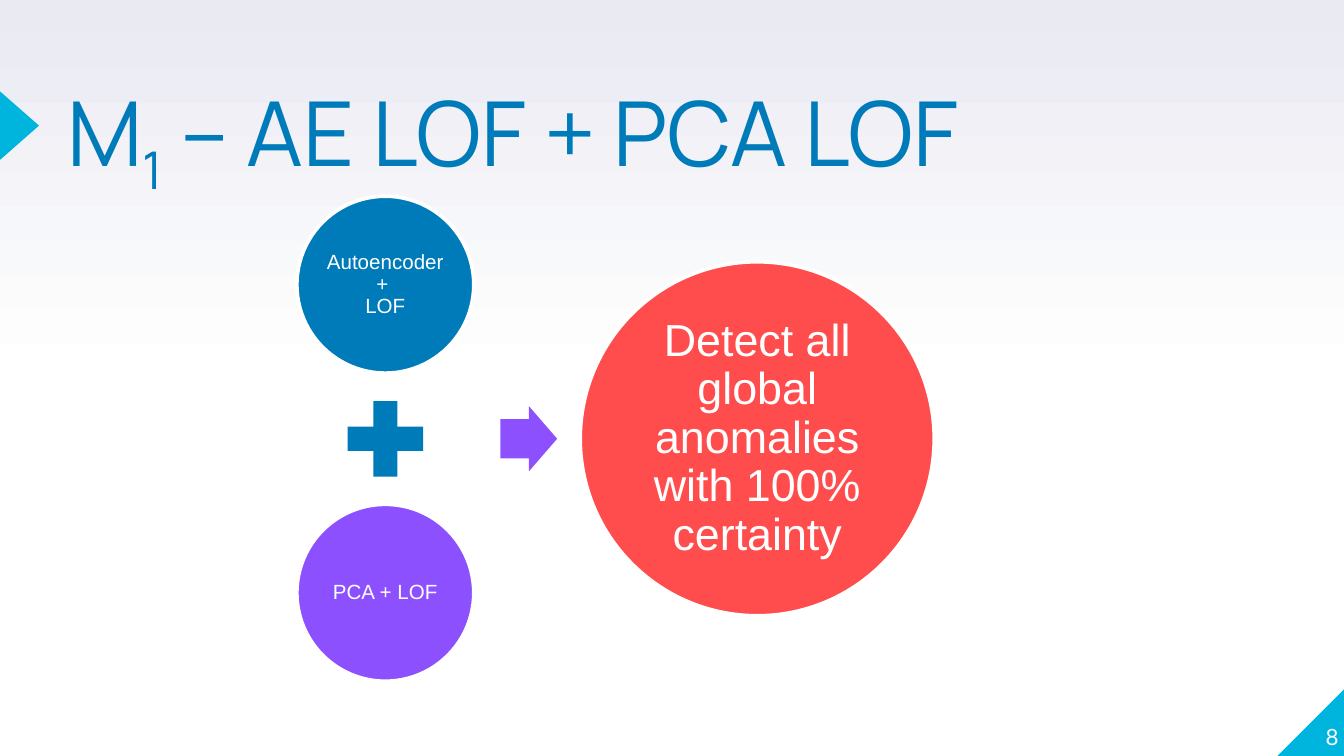
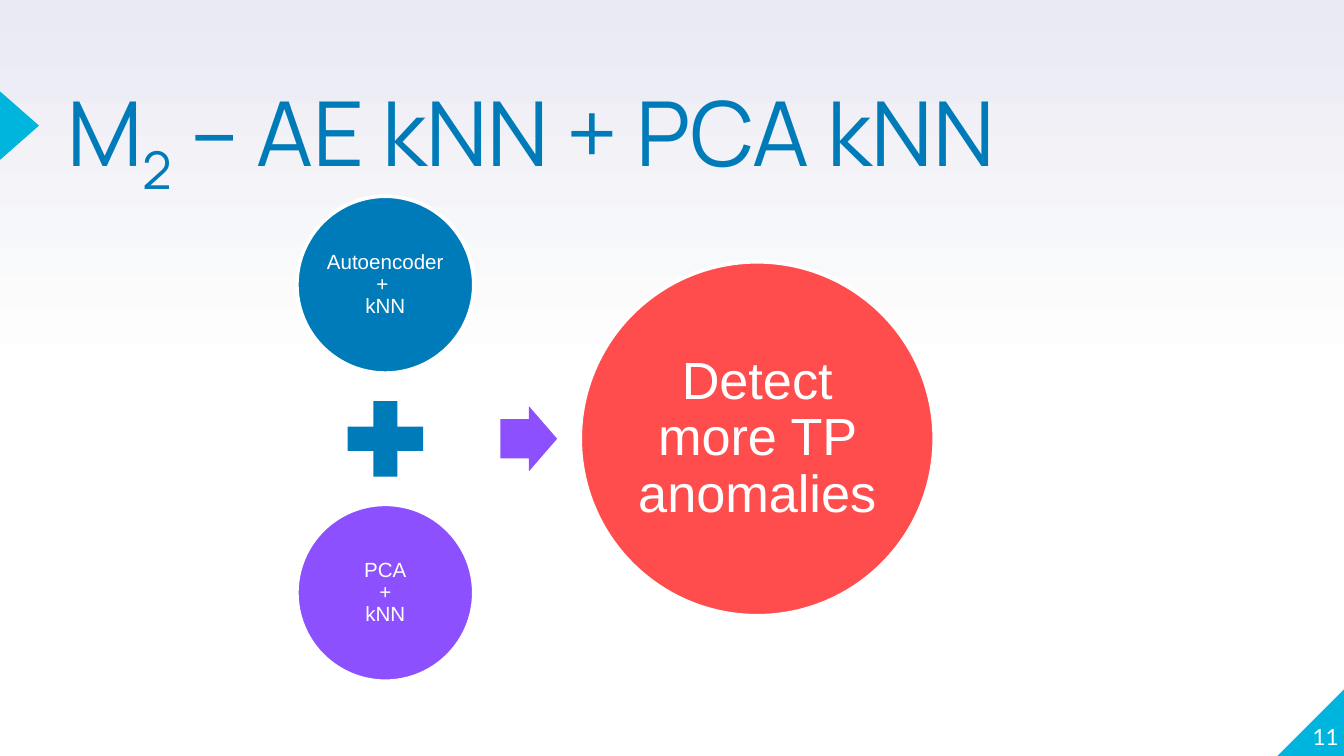
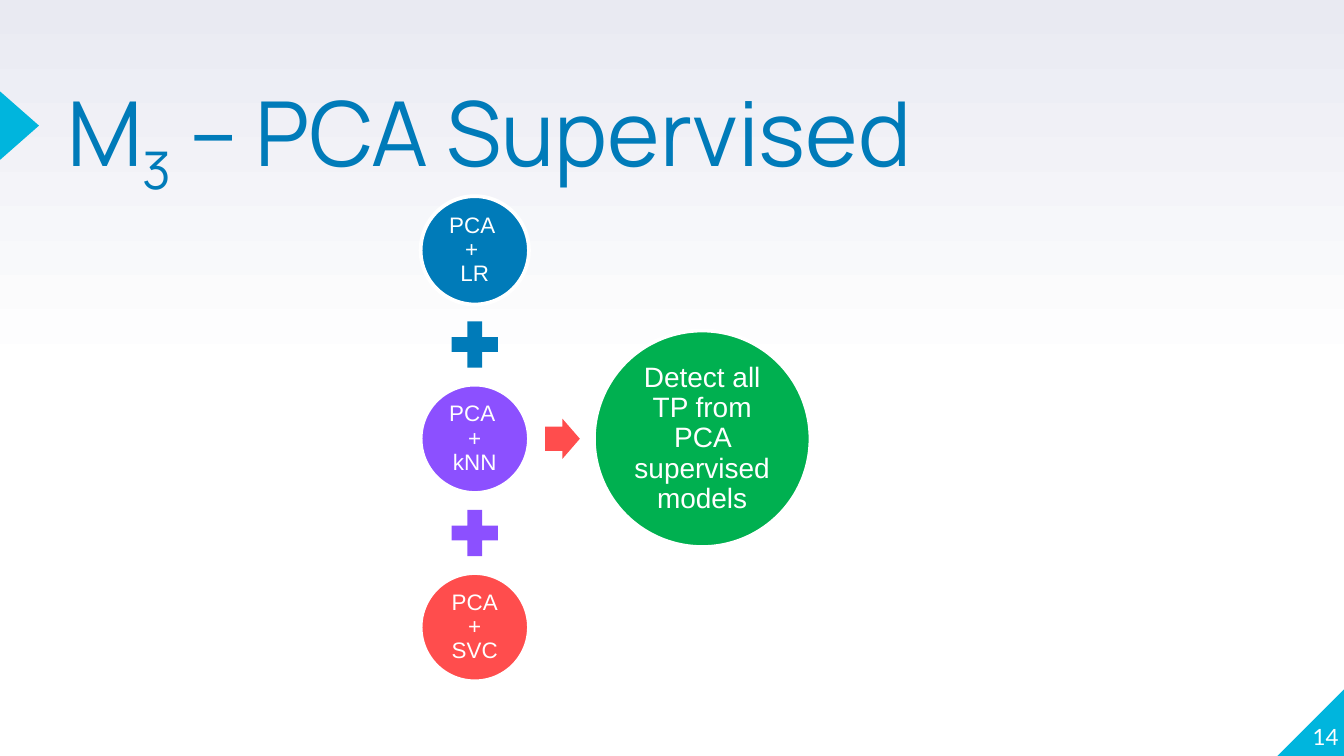
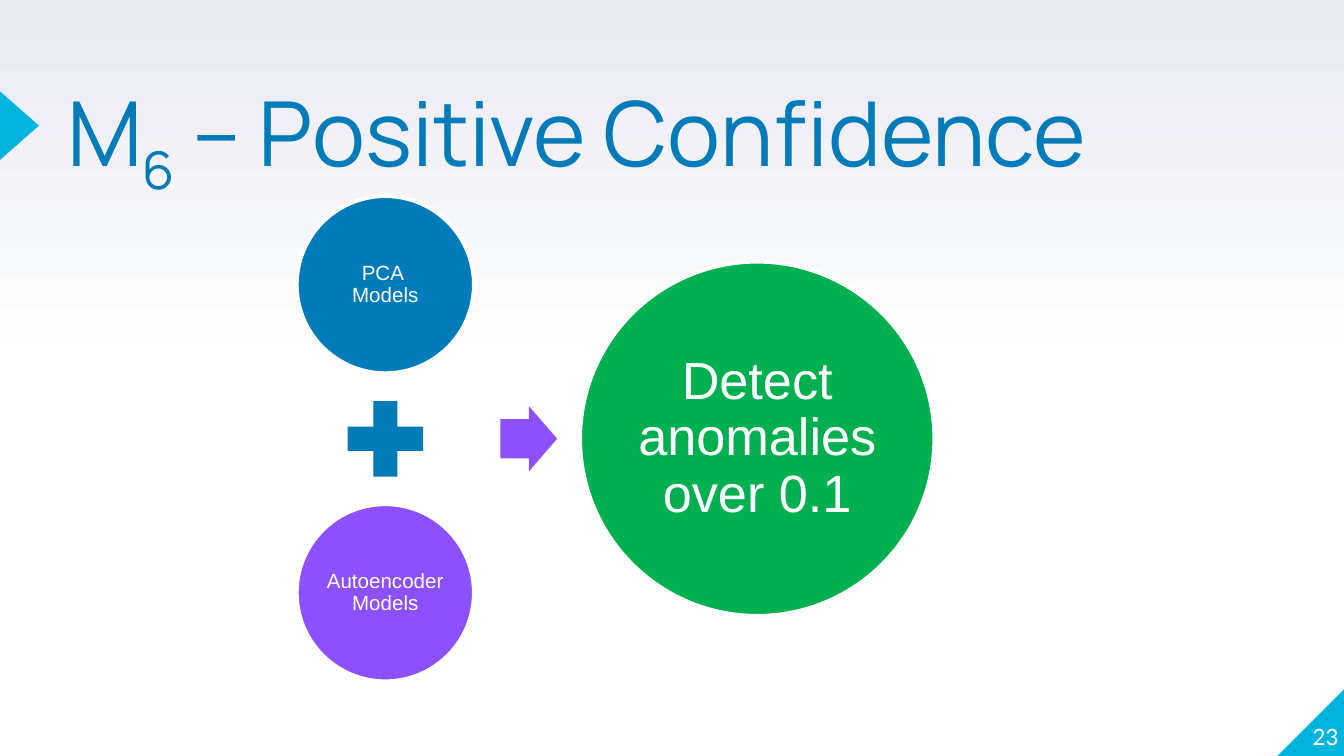
from copy import deepcopy
from dataclasses import dataclass

from pptx import Presentation
from pptx.dml.color import RGBColor
from pptx.enum.shapes import MSO_SHAPE as SHAPE
from pptx.enum.text import MSO_ANCHOR as ANCHOR, PP_ALIGN as ALIGN
from pptx.oxml.ns import qn
from pptx.util import Inches, Pt


@dataclass(frozen=True)
class Theme:
    white: str = "FFFFFF"
    haze: str = "E9EAF2"
    cyan: str = "00B5DD"
    blue: str = "007BB9"
    violet: str = "8C50FF"
    red: str = "FF4D4D"
    green: str = "00B050"
    title_font: str = "Manrope"
    body_font: str = "Arial"
    number_font: str = "Lato"
    title_size: int = 48
    number_size: int = 12


THEME = Theme()
SOURCE_COLORS = [THEME.blue, THEME.violet, THEME.red]

# Equation column: vertical extent, and the middle of the whole diagram
COLUMN_TOP, COLUMN_HEIGHT, DIAGRAM_CENTER = 1.46, 3.61, 4.58

# Diagram proportions, relative to the diameter of a source circle
GAP, PLUS, RESULT = 0.74, 0.58, 2
ARROW_WIDTH, ARROW_HEIGHT = 0.32, 0.37
BEFORE_ARROW, AFTER_ARROW = 0.15, 0.13
DIAGRAM_WIDTH = 1 + BEFORE_ARROW + ARROW_WIDTH + AFTER_ARROW + RESULT

# number, subscript, title, source texts and size, result text, size and colour
SLIDES = [
    (8, "1", " – AE LOF + PCA LOF",
     ["Autoencoder + \nLOF", "PCA + LOF"], 11,
     "Detect all global anomalies with 100% certainty", 24, THEME.red),
    (11, "2", " – AE kNN + PCA kNN",
     ["Autoencoder + \nkNN", "PCA\n+\nkNN"], 11,
     "Detect more TP anomalies", 28, THEME.red),
    (14, "3", " – PCA Supervised",
     ["PCA \n+ \nLR", "PCA \n+\nkNN", "PCA\n+\nSVC"], 12,
     "Detect all TP from PCA supervised models", 15, THEME.green),
    (23, "6", " – Positive Confidence",
     ["PCA \nModels", "Autoencoder\nModels"], 11,
     "Detect anomalies over 0.1", 28, THEME.green),
]


def add_figure(shapes, kind, left, top, width, height, color, outlined=False):
    figure = shapes.add_shape(kind, Inches(left), Inches(top), Inches(width), Inches(height))
    figure.shadow.inherit = False
    figure.fill.solid()
    figure.fill.fore_color.rgb = RGBColor.from_string(color)
    if outlined:
        figure.line.color.rgb = RGBColor.from_string(THEME.white)
        figure.line.width = Pt(2)
    else:
        figure.line.fill.background()
    return figure


def write(holder, text, subscript="", tail="", font=THEME.body_font, size=12,
          color=THEME.white, align=ALIGN.CENTER, anchor=ANCHOR.MIDDLE, spacing=0.9, inset=0):
    """Fill holder with one paragraph: text, then an optional subscript and tail."""
    frame = holder.text_frame
    frame.word_wrap = True
    frame.vertical_anchor = anchor
    frame.margin_left = frame.margin_top = Inches(inset)
    frame.margin_right = frame.margin_bottom = Inches(inset)
    paragraph = frame.paragraphs[0]
    paragraph.text = text
    paragraph.alignment = align
    paragraph.line_spacing = spacing
    if subscript:
        paragraph.add_run().text = subscript
        paragraph.add_run().text = tail
    for run in paragraph.runs:
        run.font.name = font
        run.font.size = Pt(size)
        run.font.color.rgb = RGBColor.from_string(color)
    # Line breaks need the run format too, or they take the default size
    first_format = paragraph.runs[0].font._element
    for line_break in paragraph._p.findall(qn("a:br")):
        line_break.append(deepcopy(first_format))
    if subscript:
        paragraph.runs[1].font._element.set("baseline", "-25000")


prs = Presentation()
prs.slide_width = Inches(10)
prs.slide_height = prs.slide_width * 9 // 16

# Shared background: white up to the middle, then fading to haze at the top
backdrop = prs.slide_master.background.fill
backdrop.gradient()
backdrop.gradient_angle = 90
for stop, stop_color in zip(backdrop.gradient_stops, [THEME.white, THEME.haze]):
    stop.color.rgb = RGBColor.from_string(stop_color)
backdrop.gradient_stops[0].position = 0
backdrop.gradient_stops[1].position = 1
bottom_stop = prs.slide_master._element.find(".//" + qn("a:gsLst"))[0]
middle_stop = deepcopy(bottom_stop)
middle_stop.set("pos", "50000")
bottom_stop.addnext(middle_stop)

for number, index, title, sources, source_size, result, result_size, result_color in SLIDES:
    slide = prs.slides.add_slide(prs.slide_layouts[6])

    corner = add_figure(slide.shapes, SHAPE.RIGHT_TRIANGLE, 9.5, 5.12, 0.51, 0.51, THEME.cyan)
    corner._element.spPr.xfrm.set("flipH", "1")
    pointer = add_figure(slide.shapes, SHAPE.ISOSCELES_TRIANGLE, -0.11, 0.79, 0.51, 0.29, THEME.cyan)
    pointer.rotation = 90

    heading = slide.shapes.add_textbox(Inches(0.5), Inches(0.66), Inches(8.58), Inches(1.18))
    write(heading, "M", subscript=index, tail=title, font=THEME.title_font, size=THEME.title_size,
          color=THEME.blue, align=ALIGN.LEFT, anchor=ANCHOR.TOP, spacing=0.8)

    diagram = slide.shapes.add_group_shape().shapes
    count = len(sources)
    diameter = COLUMN_HEIGHT / (count + (count - 1) * GAP)
    left = DIAGRAM_CENTER - DIAGRAM_WIDTH * diameter / 2
    middle = COLUMN_TOP + COLUMN_HEIGHT / 2

    for position, (source, color) in enumerate(zip(sources, SOURCE_COLORS)):
        top = COLUMN_TOP + position * (1 + GAP) * diameter
        circle = add_figure(diagram, SHAPE.OVAL, left, top, diameter, diameter, color, outlined=True)
        write(circle, source, size=source_size, inset=0.02)
        if position < count - 1:
            plus = PLUS * diameter
            add_figure(diagram, SHAPE.MATH_PLUS, left + (diameter - plus) / 2,
                       top + diameter + (GAP * diameter - plus) / 2, plus, plus, color)

    arrow_left = left + (1 + BEFORE_ARROW) * diameter
    arrow_height = ARROW_HEIGHT * diameter
    arrow = add_figure(diagram, SHAPE.RIGHT_ARROW, arrow_left, middle - arrow_height / 2,
                       ARROW_WIDTH * diameter, arrow_height, SOURCE_COLORS[count - 1])
    arrow.adjustments[0] = 0.6
    arrow.adjustments[1] = 0.5

    result_diameter = RESULT * diameter
    outcome = add_figure(diagram, SHAPE.OVAL, arrow_left + (ARROW_WIDTH + AFTER_ARROW) * diameter,
                         middle - result_diameter / 2, result_diameter, result_diameter,
                         result_color, outlined=True)
    write(outcome, result, size=result_size, inset=0.03)

    page_number = slide.shapes.add_textbox(Inches(9.46), Inches(5.07), Inches(0.5), Inches(0.51))
    write(page_number, str(number), font=THEME.number_font, size=THEME.number_size,
          align=ALIGN.RIGHT, anchor=ANCHOR.BOTTOM, spacing=1.0)

prs.save("out.pptx")
